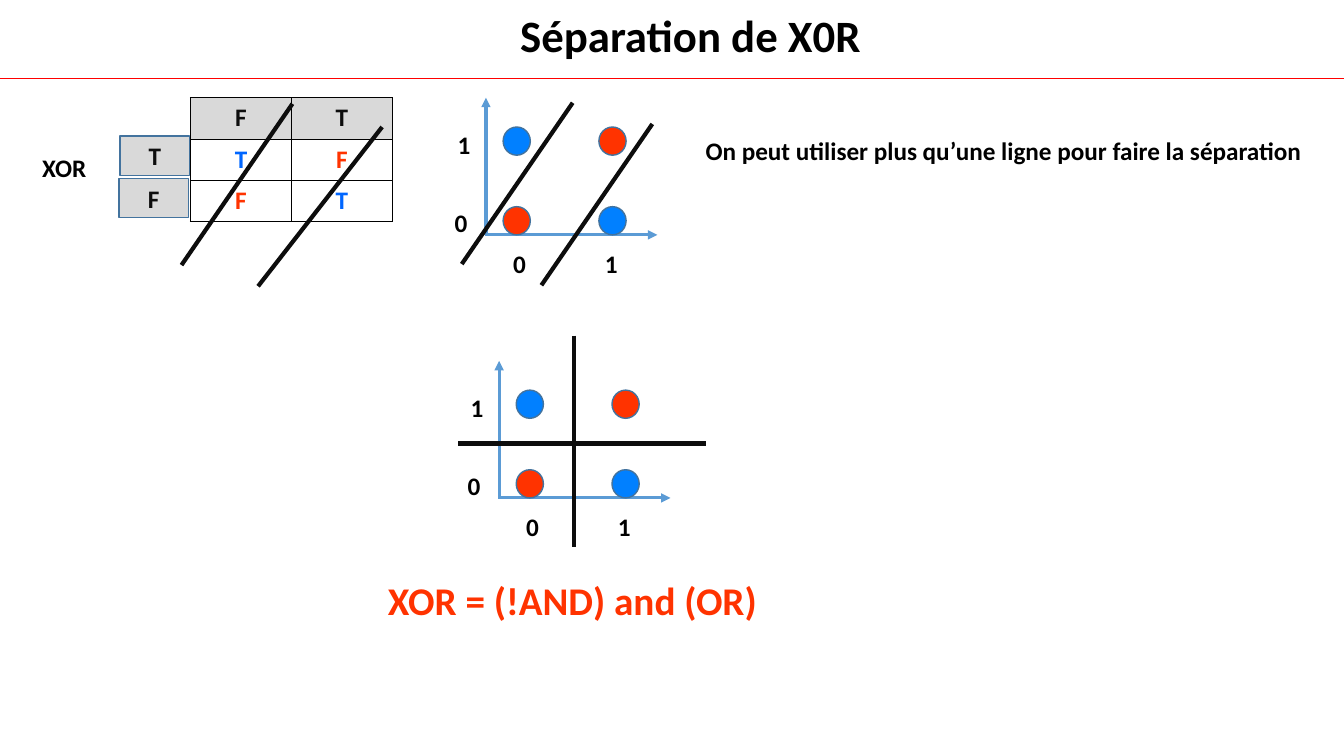
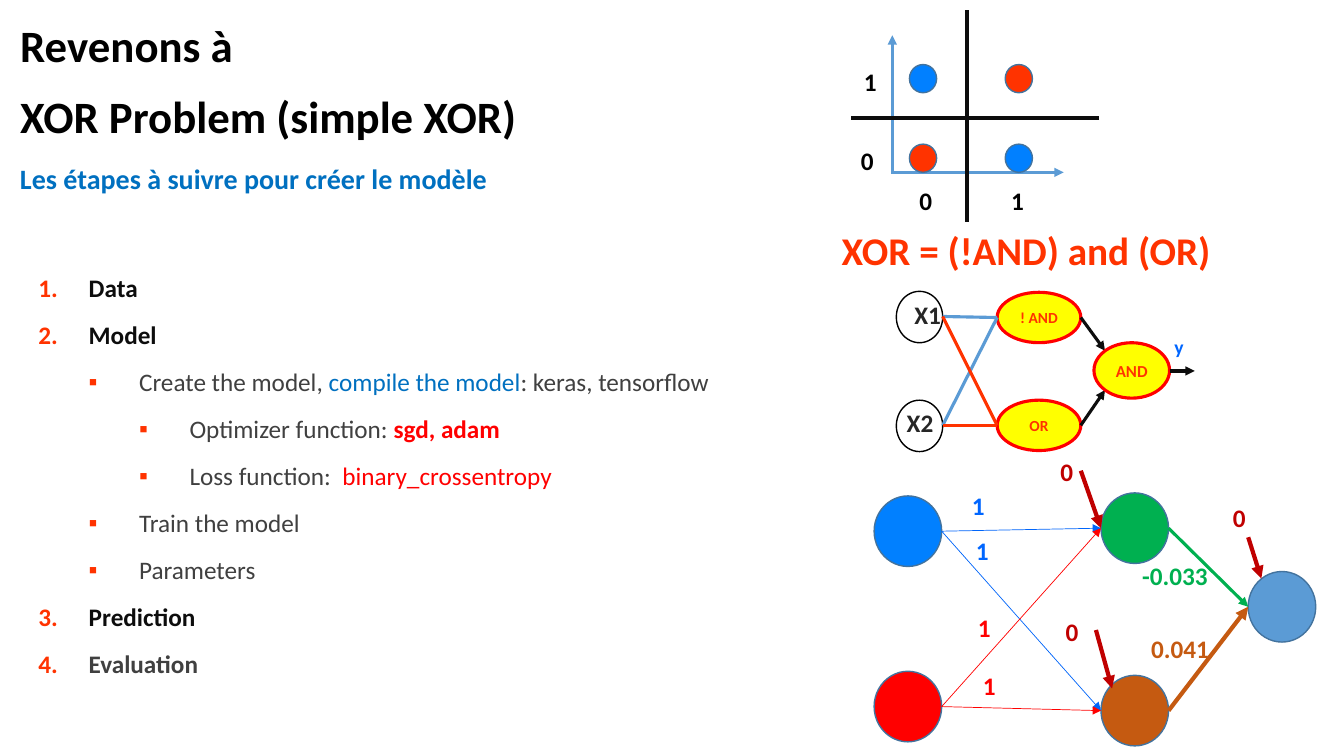
"""Build two slides on separating XOR with two lines and a small network."""
from dataclasses import dataclass
from math import cos, radians, sin

from lxml import etree
from pptx import Presentation
from pptx.dml.color import RGBColor
from pptx.enum.shapes import MSO_CONNECTOR, MSO_SHAPE
from pptx.enum.text import MSO_ANCHOR, MSO_AUTO_SIZE, PP_ALIGN
from pptx.oxml.ns import qn
from pptx.util import Emu, Pt

STRAIGHT = MSO_CONNECTOR.STRAIGHT
OVAL, RECTANGLE = MSO_SHAPE.OVAL, MSO_SHAPE.RECTANGLE
TOP, MIDDLE = MSO_ANCHOR.TOP, MSO_ANCHOR.MIDDLE
LEFT, CENTER = PP_ALIGN.LEFT, PP_ALIGN.CENTER
NO_FIT = MSO_AUTO_SIZE.NONE
TITLE_ONLY, TITLE_AND_CONTENT = 5, 1
EMU_PER_PX = 9144
PAGE_WIDTH, PAGE_HEIGHT = 1333, 750


@dataclass(frozen=True)
class Theme:
    font: str = "Calibri"
    black: str = "000000"
    ink: str = "0D0D0D"
    dark_gray: str = "262626"
    gray: str = "404040"
    light_gray: str = "D9D9D9"
    red: str = "FF0000"
    dark_red: str = "C00000"
    orange: str = "FF3300"
    brown: str = "C55A11"
    yellow: str = "FFFF00"
    green: str = "00B050"
    blue: str = "0180FF"
    label_blue: str = "0066FF"
    edge_blue: str = "0065FA"
    heading_blue: str = "0070C0"
    axis_blue: str = "5B9BD5"
    outline: str = "43739E"
    title: int = 32
    formula: int = 28
    heading: int = 20
    body: int = 18
    output: int = 14
    gate: int = 12
    small_gate: int = 11
    gap: int = 12
    hairline: float = 0.5
    thin: float = 1
    medium: float = 2.25
    thick: float = 3


THEME = Theme()


def px(length):
    """Turn px into EMU."""
    return Emu(round(length * EMU_PER_PX))


def rgb(color):
    """Turn a hex string into a colour."""
    return RGBColor.from_string(color)


def add_span(para, text, color=THEME.black, size=THEME.body, bold=True):
    """Add one formatted run to a paragraph."""
    span = para.add_run()
    span.text = text
    font = span.font
    font.name, font.size, font.bold = THEME.font, Pt(size), bold
    font.color.rgb = rgb(color)


def add_label(page, left, top, width, height, text, color=THEME.black,
              size=THEME.body, align=LEFT, wrap=True):
    """Add a text box with one bold run."""
    box = page.shapes.add_textbox(px(left), px(top), px(width), px(height))
    box.text_frame.word_wrap = wrap
    para = box.text_frame.paragraphs[0]
    para.alignment = align
    add_span(para, text, color, size)


def add_line(page, start, end, color, weight, arrow=False):
    """Draw a straight line, optionally with an arrowhead at its end."""
    line = page.shapes.add_connector(STRAIGHT, *map(px, (*start, *end)))
    line.line.color.rgb = rgb(color)
    line.line.width = Pt(weight)
    properties = line.element.spPr
    if arrow:
        etree.SubElement(properties.find(qn("a:ln")), qn("a:tailEnd"), type="triangle")
    etree.SubElement(properties, qn("a:effectLst"))


def add_figure(page, kind, area, fill=None, outline=THEME.outline, weight=THEME.thin,
               text="", color=THEME.ink, size=THEME.body):
    """Draw a preset shape with an optional centred label."""
    figure = page.shapes.add_shape(kind, *map(px, area))
    figure.shadow.inherit = False
    if fill:
        figure.fill.solid()
        figure.fill.fore_color.rgb = rgb(fill)
    else:
        figure.fill.background()
    figure.line.color.rgb = rgb(outline)
    figure.line.width = Pt(weight)
    if text:
        frame = figure.text_frame
        frame.word_wrap = False
        frame.vertical_anchor = MIDDLE
        frame.margin_left = frame.margin_right = 0
        para = frame.paragraphs[0]
        para.alignment = CENTER
        add_span(para, text, color, size)


def rim(area, degrees):
    """Return the point of an ellipse at an angle, clockwise from the right."""
    left, top, width, height = area
    angle = radians(degrees)
    return (round(left + width / 2 * (1 + cos(angle))),
            round(top + height / 2 * (1 + sin(angle))))


def place_frame(placeholder, area):
    """Move a placeholder and return its text frame, aligned to the top."""
    placeholder.left, placeholder.top, placeholder.width, placeholder.height = map(px, area)
    frame = placeholder.text_frame
    frame.word_wrap = True
    frame.auto_size = NO_FIT
    frame.vertical_anchor = TOP
    return frame


def add_paragraph(frame, index):
    """Return the first paragraph of a frame or a new one after it."""
    para = frame.add_paragraph() if index else frame.paragraphs[0]
    para.space_before = Pt(0)
    return para


def set_title(page, area, lines, align):
    """Fill the title placeholder."""
    frame = place_frame(page.shapes.title, area)
    for index, text in enumerate(lines):
        para = add_paragraph(frame, index)
        para.alignment = align
        para.space_after = Pt(THEME.gap)
        add_span(para, text, size=THEME.title)


def set_bullet(para, level):
    """Number the top level and put squares before the deeper ones."""
    para.level = level
    properties = para._p.get_or_add_pPr()
    properties.set("marL", str(px(50 * (level + 1))))
    properties.set("indent", str(px(-50)))
    color = etree.SubElement(properties, qn("a:buClr"))
    etree.SubElement(color, qn("a:srgbClr"), val=THEME.orange)
    if level:
        etree.SubElement(properties, qn("a:buFont"), typeface="Arial")
        etree.SubElement(properties, qn("a:buChar"), char="▪")
    else:
        etree.SubElement(properties, qn("a:buFont"), typeface="+mj-lt")
        etree.SubElement(properties, qn("a:buAutoNum"), type="arabicPeriod")


def set_steps(page, area, steps):
    """Fill the body placeholder with levelled steps."""
    frame = place_frame(page.placeholders[1], area)
    for index, (level, spans) in enumerate(steps):
        para = add_paragraph(frame, index)
        set_bullet(para, level)
        para.space_after = Pt(THEME.gap)
        for text, color, bold in spans:
            add_span(para, text, color, bold=bold)


def add_plot(page, x, y):
    """Draw the four XOR points on axes that start at x, y."""
    add_line(page, (x, y), (x + 171, y), THEME.axis_blue, THEME.medium, True)
    add_line(page, (x + 1, y), (x + 1, y - 136), THEME.axis_blue, THEME.medium, True)
    for column in range(2):
        for row in range(2):
            fill = THEME.orange if column == row else THEME.blue
            add_figure(page, OVAL, (x + 18 + 95 * column, y - 107 + 79 * (1 - row), 27, 28), fill)
    for value in range(2):
        add_label(page, x + 18 + 91 * value, y + 8, 36, 40, str(value))
        add_label(page, x - 40 + 3 * value, y - 32 - 78 * value, 36, 40, str(value))


def add_split_plot(page, x, y):
    """Draw the XOR plot cut by a horizontal and a vertical line."""
    add_plot(page, x, y)
    add_line(page, (x + 206, y - 54), (x - 40, y - 54), THEME.ink, THEME.thick)
    add_line(page, (x + 75, y - 161), (x + 75, y + 49), THEME.ink, THEME.thick)


def add_formula(page, left, top):
    """Write XOR in terms of AND and OR."""
    add_label(page, left, top, 466, 57, "XOR = (!AND) and (OR)", THEME.orange, THEME.formula)


def set_borders(cell):
    """Give a table cell a thin black border on each side."""
    properties = cell._tc.get_or_add_tcPr()
    for index, side in enumerate(("a:lnL", "a:lnR", "a:lnT", "a:lnB")):
        border = etree.Element(qn(side), w=str(Pt(THEME.thin)))
        fill = etree.SubElement(border, qn("a:solidFill"))
        etree.SubElement(fill, qn("a:srgbClr"), val=THEME.black)
        properties.insert(index, border)


def add_truth_table(page):
    """Draw the XOR truth table with its row headers."""
    rows = ("FT", "TF", "FT")
    table = page.shapes.add_table(3, 2, px(189), px(97), px(200), px(123)).table
    table.first_row = table.horz_banding = False
    for row, letters in enumerate(rows):
        table.rows[row].height = px(41)
        for column, letter in enumerate(letters):
            cell = table.cell(row, column)
            if row:
                cell.fill.background()
                color = THEME.label_blue if letter == "T" else THEME.orange
            else:
                cell.fill.solid()
                cell.fill.fore_color.rgb = rgb(THEME.light_gray)
                color = THEME.ink
            set_borders(cell)
            para = cell.text_frame.paragraphs[0]
            para.alignment = CENTER
            add_span(para, letter, color)
    for row, letter in enumerate("TF"):
        add_figure(page, RECTANGLE, (119 - row, 135 + 42 * row, 69, 39),
                   THEME.light_gray, text=letter)
    add_label(page, 32, 146, 64, 40, "XOR", wrap=False)


def add_gates(page):
    """Draw XOR as a NAND and an OR gate that feed an AND gate."""
    inputs = [(889, top, 46, 51) for top in (289, 397)]
    gates = [(989, top, 83, 50) for top in (290, 397)]
    joint = (1085, 340, 75, 55)
    add_label(page, 897, 292, 47, 40, "X1", THEME.dark_gray, wrap=False)
    add_label(page, 887, 399, 51, 40, "X2", THEME.dark_gray, align=CENTER)
    for area in inputs:
        add_figure(page, OVAL, area, outline=THEME.black)
    for gate, text, color, angle in zip(gates, ("! AND", "OR"),
                                        (THEME.axis_blue, THEME.orange), (225, 135)):
        add_figure(page, OVAL, gate, THEME.yellow, THEME.red, THEME.medium,
                   text, THEME.orange, THEME.small_gate)
        for area in inputs:
            add_line(page, rim(area, 0), rim(gate, 180), color, THEME.medium)
        add_line(page, rim(gate, 0), rim(joint, angle), THEME.ink, THEME.medium, True)
    add_figure(page, OVAL, joint, THEME.yellow, THEME.red, THEME.medium,
               "AND", THEME.orange, THEME.gate)
    add_line(page, rim(joint, 0), (1185, 368), THEME.ink, THEME.medium, True)
    add_label(page, 1155, 327, 28, 34, "y", THEME.label_blue, THEME.output)


def add_network(page):
    """Draw the trained network with its weights and biases."""
    inputs = [(867, top, 67, 70) for top in (492, 666)]
    hidden = [(1092, top, 67, 70) for top in (489, 670)]
    output = (1238, 567, 67, 70)
    fills = (THEME.blue, THEME.red, THEME.green, THEME.brown, THEME.axis_blue)
    for area, fill in zip((*inputs, *hidden, output), fills):
        add_figure(page, OVAL, area, fill)
    for source, color in zip(inputs, (THEME.edge_blue, THEME.red)):
        for target in hidden:
            add_line(page, rim(source, 0), rim(target, 180), color, THEME.hairline, True)
    for source, color, weight in zip(hidden, (THEME.green, THEME.brown),
                                     (THEME.medium, THEME.thick)):
        add_line(page, rim(source, 0), rim(output, 180), color, weight, True)
    biases = (((1042, 448), (1072, 467), rim(hidden[0], 180)),
              ((1047, 607), (1087, 625), (1103, 683)),
              ((1213, 493), (1238, 533), (1251, 574)))
    for (left, top), start, end in biases:
        add_label(page, left, top, 50, 40, "0", THEME.dark_red)
        add_line(page, start, end, THEME.dark_red, THEME.thick, True)
    weights = ((954, 482, 50, "1", THEME.label_blue), (958, 526, 50, "1", THEME.label_blue),
               (960, 603, 33, "1", THEME.red), (965, 660, 33, "1", THEME.red),
               (1123, 551, 93, "-0.033", THEME.green), (1132, 623, 93, "0.041", THEME.brown))
    for left, top, width, text, color in weights:
        add_label(page, left, top, width, 40, text, color)


def build_separation(deck):
    """Build the slide that separates XOR with two lines."""
    page = deck.slides.add_slide(deck.slide_layouts[TITLE_ONLY])
    set_title(page, (137, 3, 1096, 64), ["Séparation de X0R"], CENTER)
    add_line(page, (0, 78), (PAGE_WIDTH, 78), THEME.red, THEME.hairline)
    add_truth_table(page)
    add_plot(page, 481, 233)
    for start, end in (((568, 102), (458, 262)), ((647, 123), (537, 283)),
                       ((290, 103), (180, 263)), ((379, 126), (256, 284))):
        add_line(page, start, end, THEME.ink, THEME.thick)
    add_label(page, 690, 129, 643, 40,
              "On peut utiliser plus qu’une ligne pour faire la séparation")
    add_split_plot(page, 494, 494)
    add_formula(page, 375, 567)


def build_model(deck):
    """Build the slide that lists the steps of the model."""
    page = deck.slides.add_slide(deck.slide_layouts[TITLE_AND_CONTENT])
    set_title(page, (10, 13, 666, 135), ["Revenons à", "XOR Problem (simple XOR)"], LEFT)
    add_label(page, 10, 155, 680, 44, "Les étapes à suivre pour créer le modèle",
              THEME.heading_blue, THEME.heading)
    ink, gray, red = THEME.ink, THEME.gray, THEME.red
    set_steps(page, (28, 265, 812, 417), (
        (0, [("Data", ink, True)]),
        (0, [("Model", ink, True)]),
        (1, [("Create the model, ", gray, False),
             ("compile the model", THEME.heading_blue, False),
             (": keras, tensorflow", gray, False)]),
        (2, [("Optimizer function: ", gray, False), ("sgd, adam", red, True)]),
        (2, [("Loss function:  ", gray, False), ("binary_crossentropy", red, False)]),
        (1, [("Train the model", gray, False)]),
        (1, [("Parameters", gray, False)]),
        (0, [("Prediction", ink, True)]),
        (0, [("Evaluation", gray, True)])))
    add_network(page)
    add_gates(page)
    add_formula(page, 825, 220)
    add_split_plot(page, 884, 171)


def main():
    """Build and save the deck."""
    deck = Presentation()
    deck.slide_width, deck.slide_height = px(PAGE_WIDTH), px(PAGE_HEIGHT)
    build_separation(deck)
    build_model(deck)
    deck.save("out.pptx")


if __name__ == "__main__":
    main()
